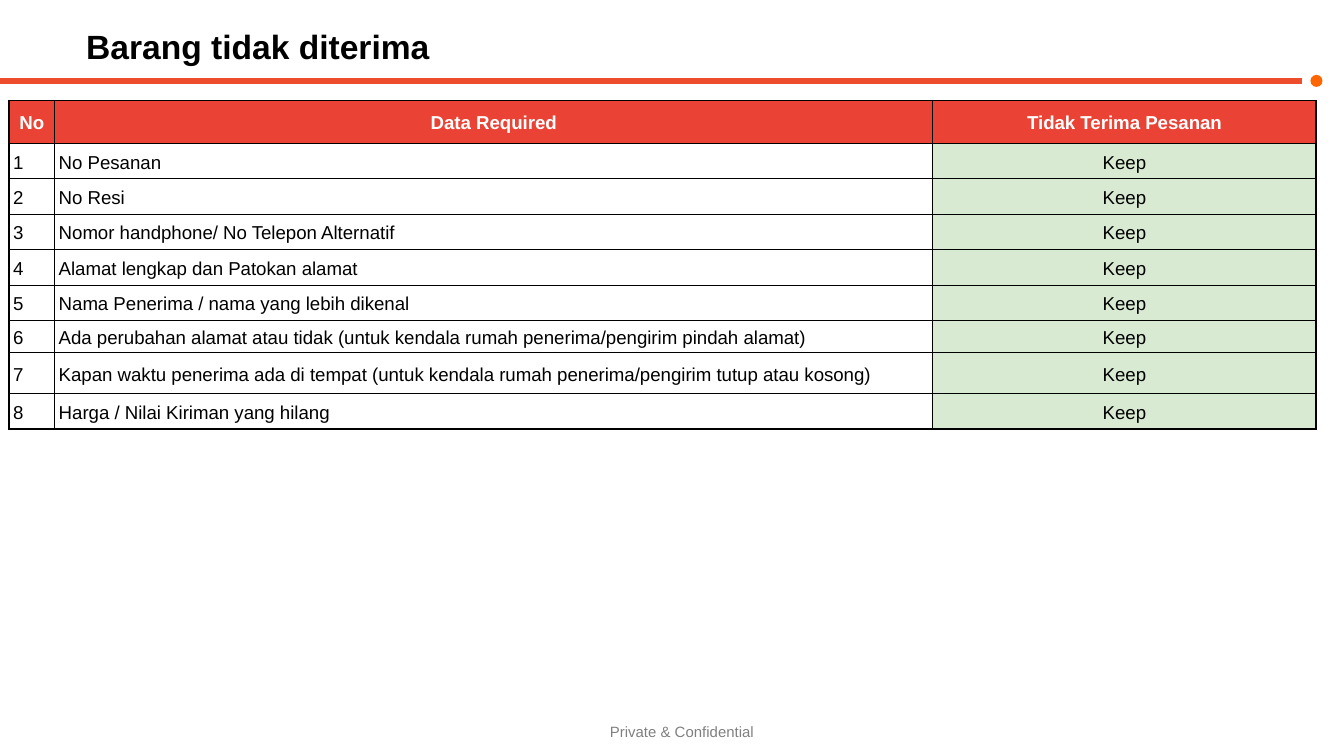
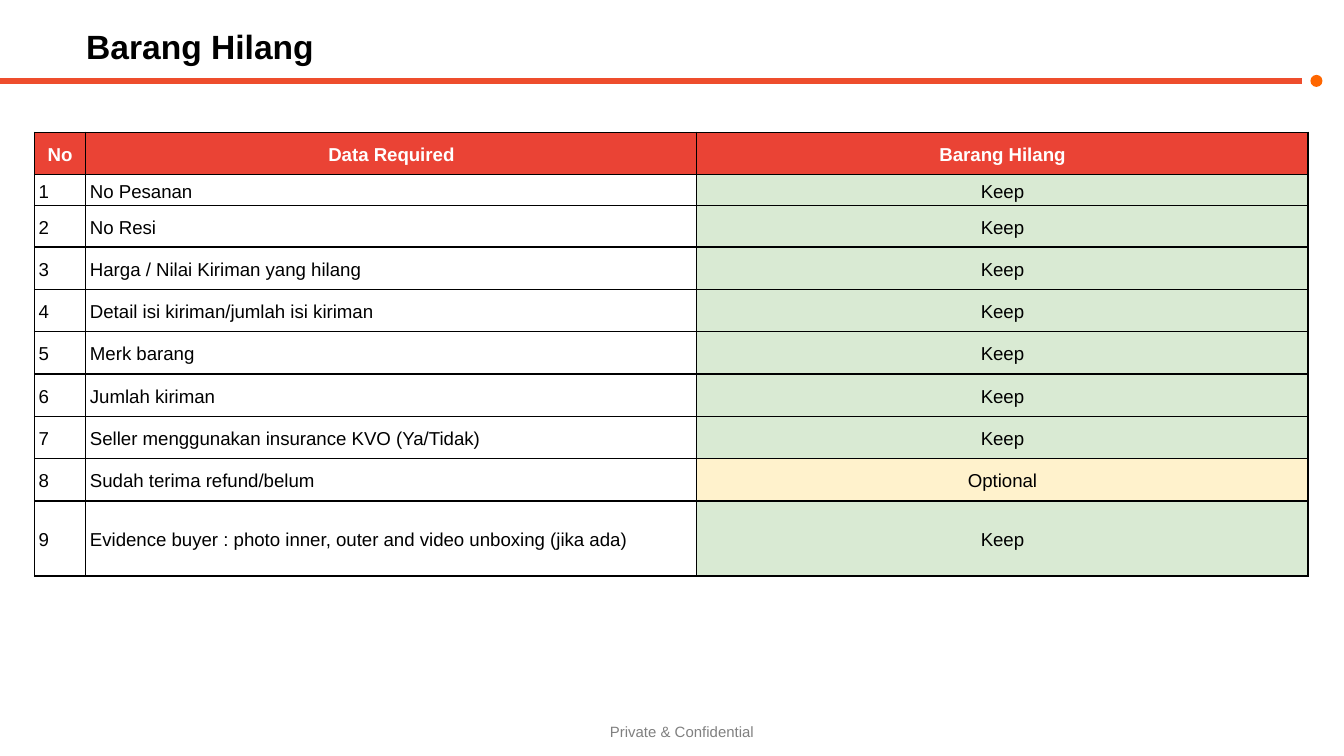
from lxml.etree import SubElement
from pptx import Presentation
from pptx.dml.color import RGBColor
from pptx.enum.shapes import MSO_CONNECTOR, MSO_SHAPE
from pptx.enum.text import MSO_ANCHOR, PP_ALIGN
from pptx.oxml.ns import qn
from pptx.util import Cm, Pt

FONT = "Arial"
WIDE, HIGH = 25.4, 14.29
COLORS = {
    "rule": "EE4D2D", "dot": "FF6600", "head": "EA4335", "keep": "D9EAD3",
    "maybe": "FFF2CC", "black": "000000", "white": "FFFFFF", "grey": "808080",
}
STATUS = {"Keep": "keep", "Optional": "maybe"}
TITLE_BOX = (1.47, 0.25, 22.43, 1.17)
RULE_BOX = (0, 1.43, 24.98, 0.2)
FOOT_BOX = (9.25 - 5.62, 13.59, 18.52, 0.51)


def color(name):
    """Return a palette entry as an RGB colour."""
    return RGBColor.from_string(COLORS[name])


def write(frame, text, size, ink, bold=False, align=PP_ALIGN.LEFT, lead=1.0):
    """Write one styled run into the first paragraph of a frame."""
    para = frame.paragraphs[0]
    para.alignment, para.line_spacing = align, lead
    run = para.add_run()
    run.text = text
    run.font.name, run.font.size, run.font.bold = FONT, Pt(size), bold
    run.font.color.rgb = color(ink)


def add_text(slide, box, text, pads, anchor, **style):
    """Place a wrapped text box with the given side and top insets."""
    frame = slide.shapes.add_textbox(*map(Cm, box)).text_frame
    frame.word_wrap = True
    frame.vertical_anchor = anchor
    frame.margin_left = frame.margin_right = Cm(pads[0])
    frame.margin_top = frame.margin_bottom = Cm(pads[1])
    write(frame, text, **style)


def add_rule(slide, box):
    """Draw the header line and the dot that ends it."""
    left, top, width, dia = box
    mid, end = top + dia / 2, left + width
    line = slide.shapes.add_connector(
        MSO_CONNECTOR.STRAIGHT, Cm(left), Cm(mid), Cm(end - 0.37), Cm(mid))
    line.line.color.rgb, line.line.width = color("rule"), Pt(3)
    SubElement(line._element.spPr, qn("a:effectLst"))
    dot = slide.shapes.add_shape(
        MSO_SHAPE.OVAL, Cm(end - dia), Cm(top), Cm(dia), Cm(dia))
    dot.shadow.inherit = False
    dot.fill.solid()
    dot.fill.fore_color.rgb = dot.line.color.rgb = color("dot")
    dot.line.width = Pt(0.75)


def add_frame(slide, title):
    """Add the title, header rule and footer shared by all slides."""
    add_rule(slide, RULE_BOX)
    add_text(slide, FOOT_BOX, "Private & Confidential", (0.18, 0.1),
             MSO_ANCHOR.TOP, size=8, ink="grey", align=PP_ALIGN.CENTER, lead=0.93)
    add_text(slide, TITLE_BOX, title, (0.16, 0.16), MSO_ANCHOR.BOTTOM,
             size=18, ink="black", bold=True, lead=0.9)


def add_edges(cell):
    """Give a cell thin black borders on all four sides."""
    props = cell._tc.get_or_add_tcPr()
    for side in "LRTB":
        edge = SubElement(props, qn(f"a:ln{side}"), w=str(Pt(0.75)))
        fill = SubElement(edge, qn("a:solidFill"))
        SubElement(fill, qn("a:srgbClr"), val=COLORS["black"])


def fill_cell(cell, text, back, head, align):
    """Style one table cell and write its text."""
    add_edges(cell)
    if back:
        cell.fill.solid()
        cell.fill.fore_color.rgb = color(back)
    else:
        cell.fill.background()
    cell.vertical_anchor = MSO_ANCHOR.MIDDLE
    cell.margin_left = cell.margin_right = Cm(0.08)
    cell.margin_top = cell.margin_bottom = Cm(0.05)
    write(cell.text_frame, text, 10, "white" if head else "black",
          head, align, 1.15)


def add_grid(slide, spot, cols, rows, label, items):
    """Build a numbered table of required data and its status."""
    data = [("No", "Data Required", label)]
    data += [(str(num), *item) for num, item in enumerate(items, 1)]
    box = (*spot, sum(cols), sum(rows))
    table = slide.shapes.add_table(len(data), len(cols), *map(Cm, box)).table
    table.first_row = table.horz_banding = False
    for col, width in zip(table.columns, cols):
        col.width = Cm(width)
    for row, height in zip(table.rows, rows):
        row.height = Cm(height)
    for r, line in enumerate(data):
        for c, text in enumerate(line):
            head = r == 0
            last = c == len(cols) - 1
            back = "head" if head else STATUS[text] if last else None
            align = PP_ALIGN.CENTER if head or last else PP_ALIGN.LEFT
            fill_cell(table.cell(r, c), text, back, head, align)


def add_page(deck, title, *grid):
    """Add a slide with the shared frame and one table."""
    slide = deck.slides.add_slide(deck.slide_layouts[6])
    add_frame(slide, title)
    add_grid(slide, *grid)


def main():
    """Build and save both slides."""
    deck = Presentation()
    deck.slide_width, deck.slide_height = Cm(WIDE), Cm(HIGH)
    add_page(
        deck, "Barang tidak diterima", (0.17, 1.9), (0.86, 16.6, 7.24),
        [0.81] + [0.67] * 5 + [0.61, 0.77, 0.67], "Tidak Terima Pesanan", [
            ("No Pesanan", "Keep"),
            ("No Resi", "Keep"),
            ("Nomor handphone/ No Telepon Alternatif", "Keep"),
            ("Alamat lengkap dan Patokan alamat", "Keep"),
            ("Nama Penerima / nama yang lebih dikenal", "Keep"),
            ("Ada perubahan alamat atau tidak (untuk kendala rumah "
             "penerima/pengirim pindah alamat)", "Keep"),
            ("Kapan waktu penerima ada di tempat (untuk kendala rumah "
             "penerima/pengirim tutup atau kosong)", "Keep"),
            ("Harga / Nilai Kiriman yang hilang", "Keep"),
        ])
    add_page(
        deck, "Barang Hilang", (0.65, 2.5), (0.97, 11.55, 11.55),
        [0.8, 0.28, 0.78] + [0.8] * 6 + [1.42], "Barang Hilang", [
            ("No Pesanan", "Keep"),
            ("No Resi", "Keep"),
            ("Harga / Nilai Kiriman yang hilang", "Keep"),
            ("Detail isi kiriman/jumlah isi kiriman", "Keep"),
            ("Merk barang", "Keep"),
            ("Jumlah kiriman", "Keep"),
            ("Seller menggunakan insurance KVO (Ya/Tidak)", "Keep"),
            ("Sudah terima refund/belum", "Optional"),
            ("Evidence buyer : photo inner, outer and video unboxing "
             "(jika ada)", "Keep"),
        ])
    deck.save("out.pptx")


if __name__ == "__main__":
    main()
